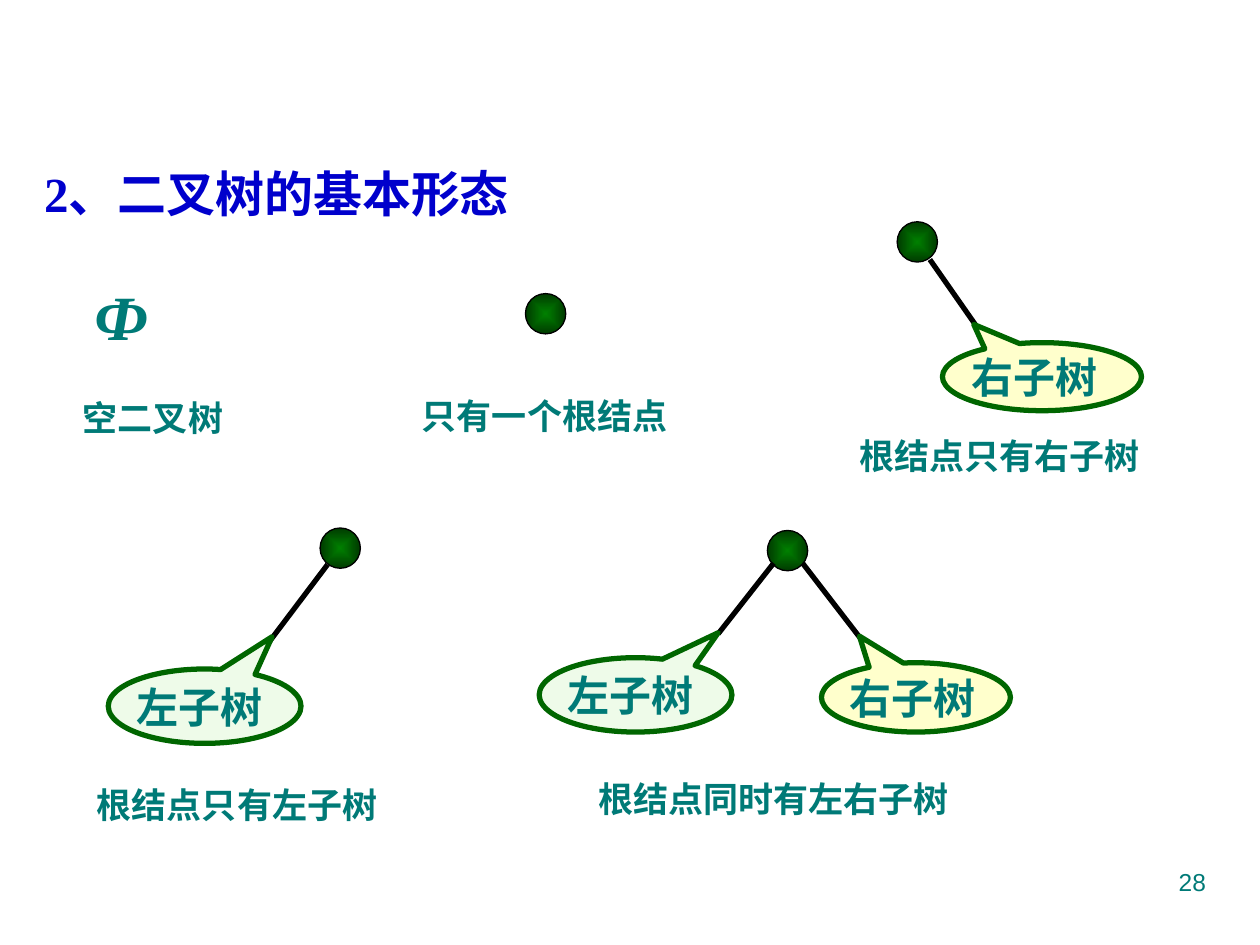
import dataclasses

import pptx
import pptx.dml.color
import pptx.enum.shapes
import pptx.enum.text
import pptx.oxml
import pptx.oxml.ns
import pptx.util

Inches = pptx.util.Inches
Shape = pptx.enum.shapes.MSO_SHAPE
Align = pptx.enum.text.PP_ALIGN
Anchor = pptx.enum.text.MSO_ANCHOR
Fit = pptx.enum.text.MSO_AUTO_SIZE
qn = pptx.oxml.ns.qn
NS = pptx.oxml.ns.nsdecls("a")

RADIAL = (f'<a:path {NS} path="rect"><a:fillToRect l="50000" t="50000" '
          'r="50000" b="50000"/></a:path>')


@dataclasses.dataclass
class Theme:
    serif: str = "Times New Roman"
    sans: str = "Arial"
    head: str = "0000CC"
    text: str = "007A77"
    black: str = "000000"
    rim: str = "006600"
    core: str = "008000"
    edge: str = "003B00"
    left: str = "EEFBE9"
    right: str = "FFFFCC"
    head_size: int = 28
    sign_size: int = 36
    tree_size: int = 24
    note_size: int = 20
    page_size: int = 14


def rgb(code):
    return pptx.dml.color.RGBColor.from_string(code)


def apply(target, values):
    for name, value in values.items():
        setattr(target, name, value)


class Deck:
    """Holds the theme, the slide and the shapes being added to."""

    def __init__(self, theme):
        self.theme = theme
        self.file = pptx.Presentation()
        apply(self.file, {"slide_width": Inches(10), "slide_height": Inches(7.5)})
        self.slide = self.file.slides.add_slide(self.file.slide_layouts[5])
        self.shapes = self.slide.shapes

    def group(self):
        """Send the shapes that follow into a new group."""
        self.shapes = self.slide.shapes.add_group_shape().shapes

    def letter(self, shape, text, size, color=None, align=Align.LEFT,
               inset=(0.1, 0.05), anchor=Anchor.TOP, fit=Fit.NONE, **font):
        """Put formatted text into a shape."""
        frame = shape.text_frame
        across, down = map(Inches, inset)
        apply(frame, {"text": text, "word_wrap": True, "auto_size": fit,
                      "vertical_anchor": anchor,
                      "margin_left": across, "margin_right": across,
                      "margin_top": down, "margin_bottom": down})
        para = frame.paragraphs[0]
        para.alignment = align
        face = para.runs[0].font
        apply(face, {"name": self.theme.serif, "bold": True,
                     "size": pptx.util.Pt(size), **font})
        face.color.rgb = rgb(color or self.theme.text)

    def title(self, text, box):
        shape = self.slide.shapes.title
        apply(shape, dict(zip(("left", "top", "width", "height"), map(Inches, box))))
        self.letter(shape, text, self.theme.head_size, self.theme.head)

    def label(self, text, box, size, **style):
        self.letter(self.shapes.add_textbox(*map(Inches, box)), text, size, **style)

    def note(self, text, x, y, width):
        self.label(text, (x, y, width, 0.44), self.theme.note_size,
                   fit=Fit.SHAPE_TO_FIT_TEXT)

    def stroke(self, line, color, width):
        line.color.rgb = rgb(color)
        line.width = pptx.util.Pt(width)

    def node(self, x, y):
        ball = self.shapes.add_shape(Shape.OVAL, *map(Inches, (x, y, 0.32, 0.32)))
        ball.shadow.inherit = False
        ball.fill.gradient()
        for stop, color in zip(ball.fill.gradient_stops,
                               (self.theme.core, self.theme.edge)):
            stop.color.rgb = rgb(color)
        grad = ball._element.spPr.find(qn("a:gradFill"))
        grad.replace(grad.find(qn("a:lin")), pptx.oxml.parse_xml(RADIAL))
        self.stroke(ball.line, self.theme.black, 0.75)

    def branch(self, *ends):
        line = self.shapes.add_connector(
            pptx.enum.shapes.MSO_CONNECTOR.STRAIGHT, *map(Inches, ends))
        self.stroke(line.line, self.theme.black, 3)
        line._element.spPr.append(pptx.oxml.parse_xml(f"<a:effectLst {NS}/>"))

    def tree(self, text, box, tip, fill):
        """Draw a subtree balloon; tip is the offset from centre, in box sizes."""
        shape = self.shapes.add_shape(Shape.OVAL_CALLOUT, *map(Inches, box))
        shape.shadow.inherit = False
        for place, value in enumerate(tip):
            shape.adjustments[place] = value
        shape.fill.solid()
        shape.fill.fore_color.rgb = rgb(fill)
        self.stroke(shape.line, self.theme.rim, 3)
        self.letter(shape, text, self.theme.tree_size, align=Align.JUSTIFY,
                    inset=(0, 0), anchor=Anchor.MIDDLE)

    def left(self, box, tip):
        self.tree("左子树", box, tip, self.theme.left)

    def right(self, box, tip):
        self.tree("右子树", box, tip, self.theme.right)


def main():
    theme = Theme()
    deck = Deck(theme)
    deck.title("2、二叉树的基本形态", (0.25, 1.25, 5.17, 0.57))

    deck.group()
    deck.label("Ф", (0.75, 2.2, 0.99, 0.94), theme.sign_size,
               align=Align.JUSTIFY, inset=(0, 0), italic=True)
    deck.note("空二叉树", 0.56, 3.1, 1.83)

    deck.group()
    deck.node(4.17, 2.33)
    deck.note("只有一个根结点", 3.25, 3.08, 2.25)

    deck.group()
    deck.node(2.54, 4.19)
    deck.branch(2.6, 4.48, 2.14, 5.09)
    deck.left((0.86, 5.31, 1.53, 0.59), (0.35, -0.935))
    deck.note("根结点只有左子树", 0.67, 6.17, 2.58)

    deck.group()
    deck.node(7.12, 1.76)
    deck.branch(7.38, 2.06, 7.75, 2.59)
    deck.right((7.48, 2.72, 1.58, 0.54), (-0.343, -0.769))
    deck.note("根结点只有右子树", 6.72, 3.4, 2.5)

    deck.group()
    deck.node(6.09, 4.21)
    deck.branch(6.14, 4.47, 5.7, 5.03)
    deck.left((4.28, 5.22, 1.53, 0.59), (0.429, -0.837))
    deck.branch(6.37, 4.47, 6.84, 5.08)
    deck.right((6.52, 5.26, 1.5, 0.55), (-0.299, -0.885))
    deck.note("根结点同时有左右子树", 4.65, 6.12, 3.05)

    deck.shapes = deck.slide.shapes
    deck.label("28", (7.17, 6.83, 2.5, 0.52), theme.page_size,
               align=Align.RIGHT, name=theme.sans, bold=False)
    deck.file.save("out.pptx")


if __name__ == "__main__":
    main()
